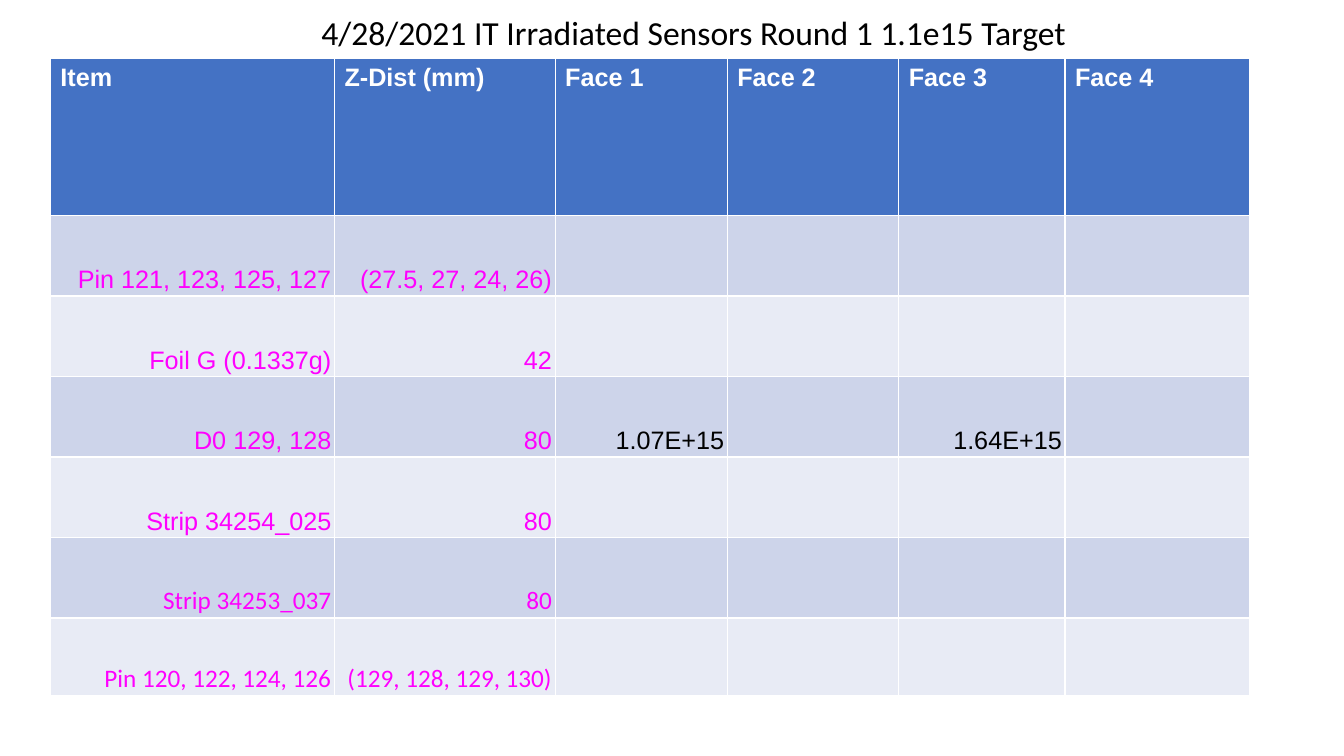
from pptx import Presentation
from pptx import util as u
from pptx.dml.color import RGBColor
from pptx.enum import text as t

BLUE = RGBColor(0x44, 0x72, 0xC4)
DARK = RGBColor(0xCD, 0xD4, 0xEA)
PALE = RGBColor(0xE8, 0xEB, 0xF5)
PINK = RGBColor(0xFF, 0x00, 0xFF)
WHITE = RGBColor(0xFF, 0xFF, 0xFF)
BLACK = RGBColor(0x00, 0x00, 0x00)

TITLE = "4/28/2021 IT Irradiated Sensors Round 1 1.1e15 Target"
HEAD = ["Item", "Z-Dist (mm)", "Face 1", "Face 2", "Face 3", "Face 4"]
ROWS = [
    ["Pin 121, 123, 125, 127", "(27.5, 27, 24, 26)", "", "", "", ""],
    ["Foil G (0.1337g)", "42", "", "", "", ""],
    ["D0 129, 128", "80", "1.07E+15", "", "1.64E+15", ""],
    ["Strip 34254_025", "80", "", "", "", ""],
    ["Strip 34253_037", "80", "", "", "", ""],
    ["Pin 120, 122, 124, 126", "(129, 128, 129, 130)", "", "", "", ""],
]
WIDTHS = [7.16, 5.56, 4.34, 4.32, 4.19, 4.65]
HEIGHTS = [3.96] + [2.03] * 5 + [1.96]


def style(para, face, size, color, bold=False):
    for run in para.runs:
        font = run.font
        font.name, font.size, font.bold = face, u.Pt(size), bold
        font.color.rgb = color


def paint(cell, color):
    cell.fill.solid()
    cell.fill.fore_color.rgb = color


def fill_head(cell, label):
    paint(cell, BLUE)
    cell.text_frame.text = label
    style(cell.text_frame.paragraphs[0], "Arial", 18, WHITE, True)


def fill_body(cell, label, row, col):
    paint(cell, DARK if row % 2 else PALE)
    cell.margin_left = cell.margin_right = u.Cm(0.08)
    cell.margin_top = cell.margin_bottom = u.Cm(0.05)
    cell.vertical_anchor = t.MSO_ANCHOR.BOTTOM
    if label:
        cell.text_frame.text = label
        para = cell.text_frame.paragraphs[0]
        para.alignment = t.PP_ALIGN.RIGHT
        style(para, "Arial" if row < 5 else "Calibri", 18,
              PINK if col < 2 else BLACK)


def add_grid(slide, left, top):
    frame = slide.shapes.add_table(
        len(HEIGHTS), len(WIDTHS), u.Cm(left), u.Cm(top),
        u.Cm(sum(WIDTHS)), u.Cm(sum(HEIGHTS)))
    table = frame.table
    for col, width in zip(table.columns, WIDTHS):
        col.width = u.Cm(width)
    for row, height in zip(table.rows, HEIGHTS):
        row.height = u.Cm(height)
    for col, label in enumerate(HEAD):
        fill_head(table.cell(0, col), label)
    for row, labels in enumerate(ROWS, 1):
        for col, label in enumerate(labels):
            fill_body(table.cell(row, col), label, row, col)


def add_title(slide, left, top, width, height):
    box = slide.shapes.add_textbox(
        u.Cm(left), u.Cm(top), u.Cm(width), u.Cm(height))
    frame = box.text_frame
    frame.word_wrap = True
    frame.auto_size = t.MSO_AUTO_SIZE.SHAPE_TO_FIT_TEXT
    frame.text = TITLE
    para = frame.paragraphs[0]
    para.alignment = t.PP_ALIGN.CENTER
    style(para, "Calibri", 24, BLACK)


def main():
    deck = Presentation()
    deck.slide_width, deck.slide_height = u.Cm(33.87), u.Cm(19.05)
    slide = deck.slides.add_slide(deck.slide_layouts[6])
    add_grid(slide, 1.27, 1.47)
    add_title(slide, 3.78, 0.18, 27.41, 1.27)
    deck.save("out.pptx")


if __name__ == "__main__":
    main()
